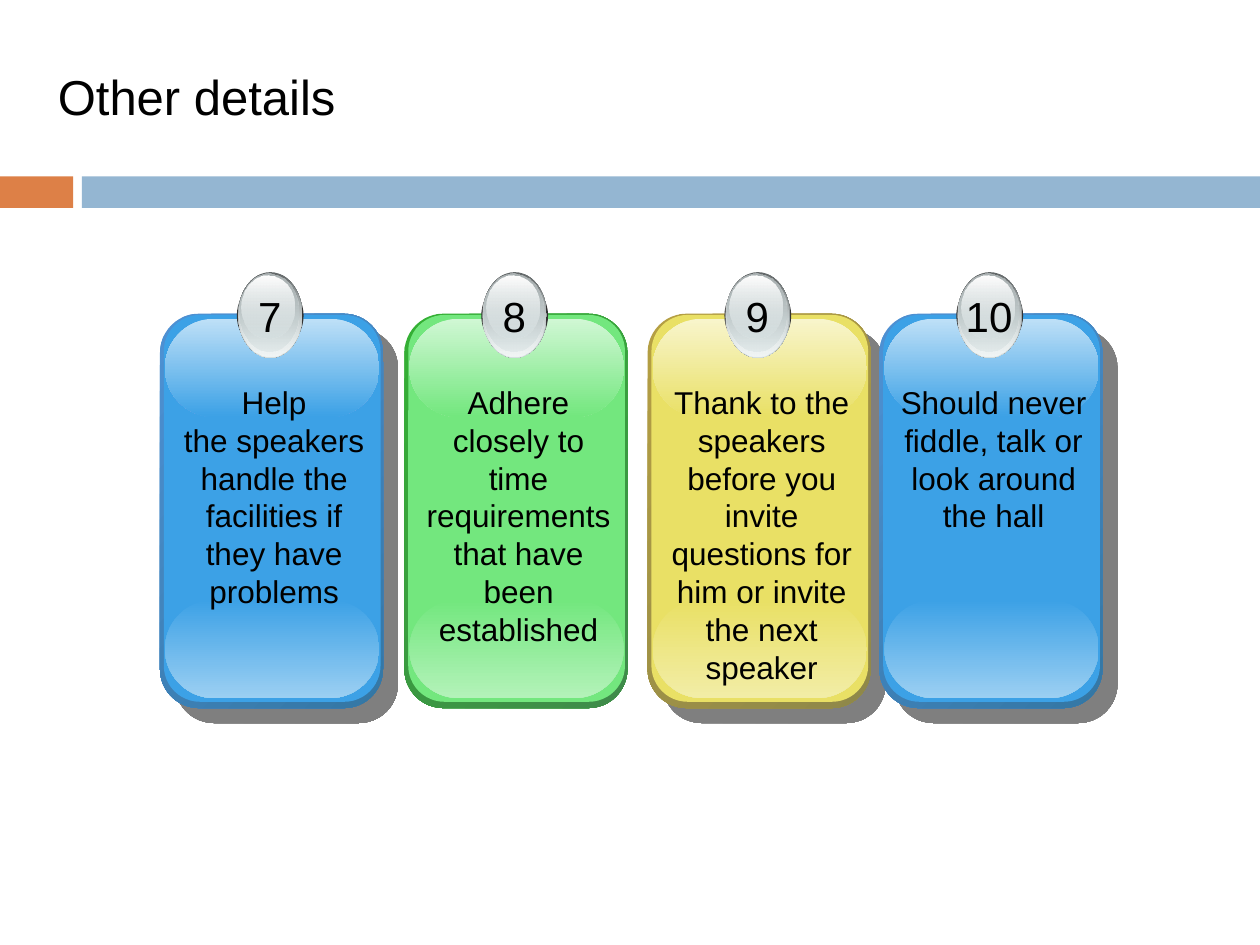
from lxml import etree
from pptx import Presentation
from pptx.dml.color import RGBColor
from pptx.enum.shapes import MSO_SHAPE
from pptx.enum.text import MSO_ANCHOR, MSO_AUTO_SIZE, PP_ALIGN
from pptx.oxml.ns import qn
from pptx.util import Inches, Pt

RECT, ROUND, OVAL = MSO_SHAPE.RECTANGLE, MSO_SHAPE.ROUNDED_RECTANGLE, MSO_SHAPE.OVAL
LEFT, CENTER = PP_ALIGN.LEFT, PP_ALIGN.CENTER
TOP, FIT = MSO_ANCHOR.TOP, MSO_AUTO_SIZE.SHAPE_TO_FIT_TEXT
FONT = "Arial"
CARD_TOP = 2.49

# rim gradient, body, top gloss, bottom gloss
BLUE = (("4E91D4", "3477A4"), "3CA1E6", "BEE0F7", "9BCFF2")
GREEN = (("34B034", "3F8B4A"), "73E77E", "D0F7D4", "B3F2B9")
YELLOW = (("B59F43", "8F8849"), "E9E065", "F8F5CC", "F2EDA6")

# left edge, number, text, palette, shadow; listed from back to front
CARDS = [
    (1.27, "7", "Help\nthe speakers handle the facilities if they have problems", BLUE, True),
    (5.14, "9", "Thank to the speakers before you invite questions for him "
                "or invite the next speaker", YELLOW, True),
    (3.21, "8", "Adhere closely to time requirements that have been established", GREEN, False),
    (6.98, "10", "Should never fiddle, talk or look around the hall", BLUE, True),
]

# badge layers: offset from card, size, colours, opacity of each colour
BADGE = [
    (0.62, -0.33, 0.51, 0.68, ("636869", "D6E1E2"), (100, 100)),
    (0.62, -0.32, 0.50, 0.66, ("D6E1E2", "F1F5F5"), (0, 100)),
    (0.63, -0.32, 0.47, 0.62, ("AAB2B3", "D6E1E2"), (100, 48)),
    (0.65, -0.30, 0.42, 0.50, ("FFFFFF", "D6E1E2"), (100, 38)),
]


def rgb(color):
    return RGBColor.from_string(color)


def add_shape(slide, kind, x, y, w, h, fill, radius=None):
    sp = slide.shapes.add_shape(kind, Inches(x), Inches(y), Inches(w), Inches(h))
    sp.shadow.inherit = False
    sp.line.fill.background()
    if radius is not None:
        sp.adjustments[0] = radius
    if isinstance(fill, str):
        sp.fill.solid()
        sp.fill.fore_color.rgb = rgb(fill)
    return sp


def set_gradient(sp, colors, angle=90, opacity=(100, 100)):
    sp.fill.gradient()
    sp.fill.gradient_angle = 360 - angle
    for stop, color in zip(sp.fill.gradient_stops, colors):
        stop.color.rgb = rgb(color)
    for clr, percent in zip(sp._element.spPr.iter(qn("a:srgbClr")), opacity):
        if percent < 100:
            etree.SubElement(clr, qn("a:alpha"), val=str(percent * 1000))


def add_drop_shadow(sp):
    effects = sp._element.spPr.find(qn("a:effectLst"))
    shadow = etree.SubElement(effects, qn("a:outerShdw"), dist=str(Pt(12.1)),
                              dir="2700000", algn="ctr", rotWithShape="0")
    clr = etree.SubElement(shadow, qn("a:srgbClr"), val="000000")
    etree.SubElement(clr, qn("a:alpha"), val="50000")


def set_text(sp, text, size, align, wrap=True):
    tf = sp.text_frame
    tf.text = text
    tf.word_wrap = wrap
    tf.auto_size = FIT
    tf.vertical_anchor = TOP
    for p in tf.paragraphs:
        p.alignment = align
        for r in p.runs:
            r.font.name = FONT
            r.font.size = Pt(size)
            r.font.color.rgb = rgb("000000")


def add_text(slide, x, y, w, h, text, size, wrap=True):
    box = slide.shapes.add_textbox(Inches(x), Inches(y), Inches(w), Inches(h))
    set_text(box, text, size, CENTER, wrap)


def add_header(slide):
    # Two-colour band under the title
    add_shape(slide, RECT, 0, 1.4, 0.58, 0.25, "DD8047")
    add_shape(slide, RECT, 0.65, 1.4, 9.35, 0.25, "94B6D2")
    title = slide.shapes.title
    title.left, title.top = Inches(0.36), Inches(0.48)
    title.width, title.height = Inches(8.98), Inches(0.57)
    set_text(title, "Other details", 28, LEFT)


def add_badge(slide, x, y, number):
    add_shape(slide, OVAL, x + 0.61, y - 0.27, 0.53, 0.57, "333333")
    for dx, dy, w, h, colors, opacity in BADGE:
        layer = add_shape(slide, OVAL, x + dx, y + dy, w, h, None)
        set_gradient(layer, colors, opacity=opacity)
    width = 0.19 + 0.19 * len(number)
    add_text(slide, x + 0.87 - width / 2, y - 0.23, width, 0.5, number, 24, wrap=False)


def add_card(slide, x, y, number, text, palette, has_shadow):
    rim_colors, body, top_gloss, bottom_gloss = palette
    # Rim and body
    rim = add_shape(slide, ROUND, x, y, 1.77, 3.13, None, 0.175)
    set_gradient(rim, rim_colors, angle=45)
    if has_shadow:
        add_drop_shadow(rim)
    add_shape(slide, ROUND, x + 0.03, y + 0.01, 1.72, 3.07, body, 0.167)
    # Gloss at both ends
    for dy, colors in ((2.27, (body, bottom_gloss)), (0.04, (top_gloss, body))):
        gloss = add_shape(slide, ROUND, x + 0.04, y + dy, 1.7, 0.78, None, 0.5)
        set_gradient(gloss, colors)
    # Number and wording
    add_badge(slide, x, y, number)
    add_text(slide, x + 0.06, y + 0.5, 1.69, 1.9, text, 18)


def main():
    prs = Presentation()
    prs.slide_width, prs.slide_height = Inches(10), Inches(7.5)
    slide = prs.slides.add_slide(prs.slide_layouts[5])
    add_header(slide)
    for x, number, text, palette, has_shadow in CARDS:
        add_card(slide, x, CARD_TOP, number, text, palette, has_shadow)
    prs.save("out.pptx")


if __name__ == "__main__":
    main()
